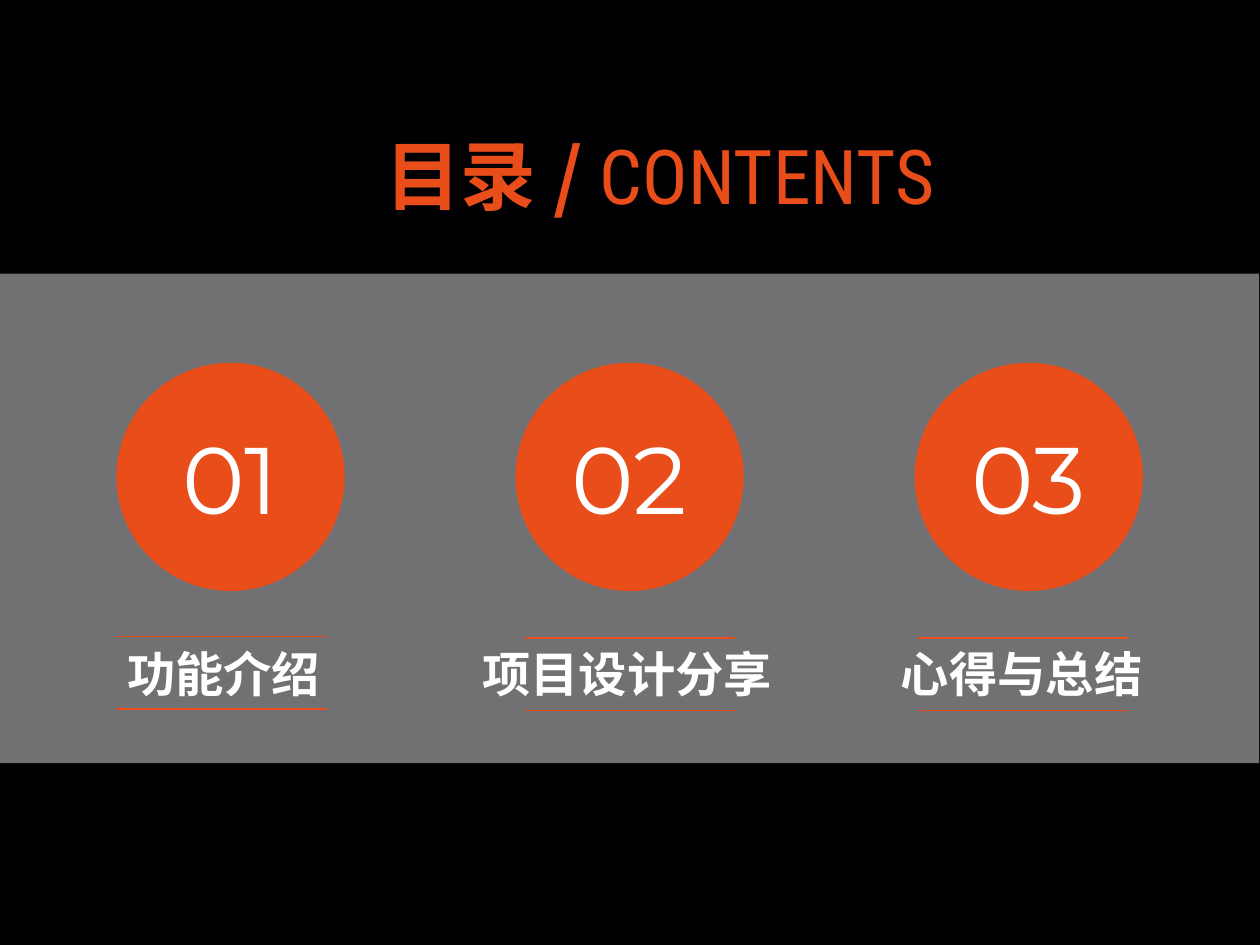
"""Build a contents slide with three numbered topics."""
from lxml import etree
from pptx import Presentation, util as u
from pptx.dml.color import RGBColor
from pptx.enum import shapes, text
from pptx.oxml.ns import qn

INK, PALE, FLAME, WHITE = "010103", "E1E0E2", "E94D1A", "FFFFFF"
HAN, LATIN, ROUND = "Noto Sans CJK SC", "Roboto Condensed", "Montserrat"
TITLE = [("目录 / ", HAN, True), ("CONTENTS", LATIN, False)]
# label, label left, label width, rule left, rule top
TOPICS = [
    ("功能介绍", 0.74, 1.48, 0.77, 4.21),
    ("项目设计分享", 3.09, 2.12, 3.47, 4.22),
    ("心得与总结", 5.86, 1.8, 6.07, 4.22),
]
LEFT, STEP, DISC = 0.77, 2.64, 1.51
RULE, GAP = 1.39, 0.48


def paint(part, color):
    part.solid()
    part.fore_color.rgb = RGBColor.from_string(color)


def place(kind, *box, fill=None):
    shape = slide.shapes.add_shape(kind, *map(u.Inches, box))
    shape.shadow.inherit = False
    shape.line.fill.background()
    if fill:
        paint(shape.fill, fill)
    else:
        shape.fill.background()
    return shape


def write(shape, words, font=HAN, size=23, color=WHITE, bold=False, wrap=True):
    frame = shape.text_frame
    frame.word_wrap = wrap
    para = frame.paragraphs[0]
    para.alignment = text.PP_ALIGN.CENTER
    run = para.add_run()
    run.text = words
    run.font.size, run.font.bold = u.Pt(size), bold
    run.font.name = font
    paint(run.font.fill, color)
    etree.SubElement(run.font._element, qn("a:ea"), typeface=font)


def rule(x, y):
    line = slide.shapes.add_connector(
        shapes.MSO_CONNECTOR.STRAIGHT, *map(u.Inches, (x, y, x + RULE, y)))
    line.line.width = u.Pt(0.75)
    paint(line.line.fill, FLAME)
    etree.SubElement(line._element.spPr, qn("a:effectLst"))


deck = Presentation()
deck.slide_width, deck.slide_height = u.Pt(600.13), u.Pt(450.13)
slide = deck.slides.add_slide(deck.slide_layouts[6])
paint(slide.background.fill, INK)

band = place(shapes.MSO_SHAPE.RECTANGLE, 0, 1.81, 8.33, 3.24, fill=PALE)
tint = band._element.spPr.find(qn("a:solidFill"))[0]
etree.SubElement(tint, qn("a:alpha"), val="50000")

for i, (label, left, width, start, top) in enumerate(TOPICS):
    disc = place(shapes.MSO_SHAPE.OVAL, LEFT + i * STEP, 2.4, DISC, DISC, fill=FLAME)
    write(disc, f"{i + 1:02}", font=ROUND, size=45)
    box = slide.shapes.add_textbox(*map(u.Inches, (left, 4.21, width, 0.49)))
    write(box, label, bold=True, wrap=False)
    for y in (top, top + GAP):
        rule(start, y)

head = place(shapes.MSO_SHAPE.OVAL, 1.64, 0.4, 5.45, 1.51)
for words, font, bold in TITLE:
    write(head, words, font=font, size=36, color=FLAME, bold=bold)

deck.save("out.pptx")
